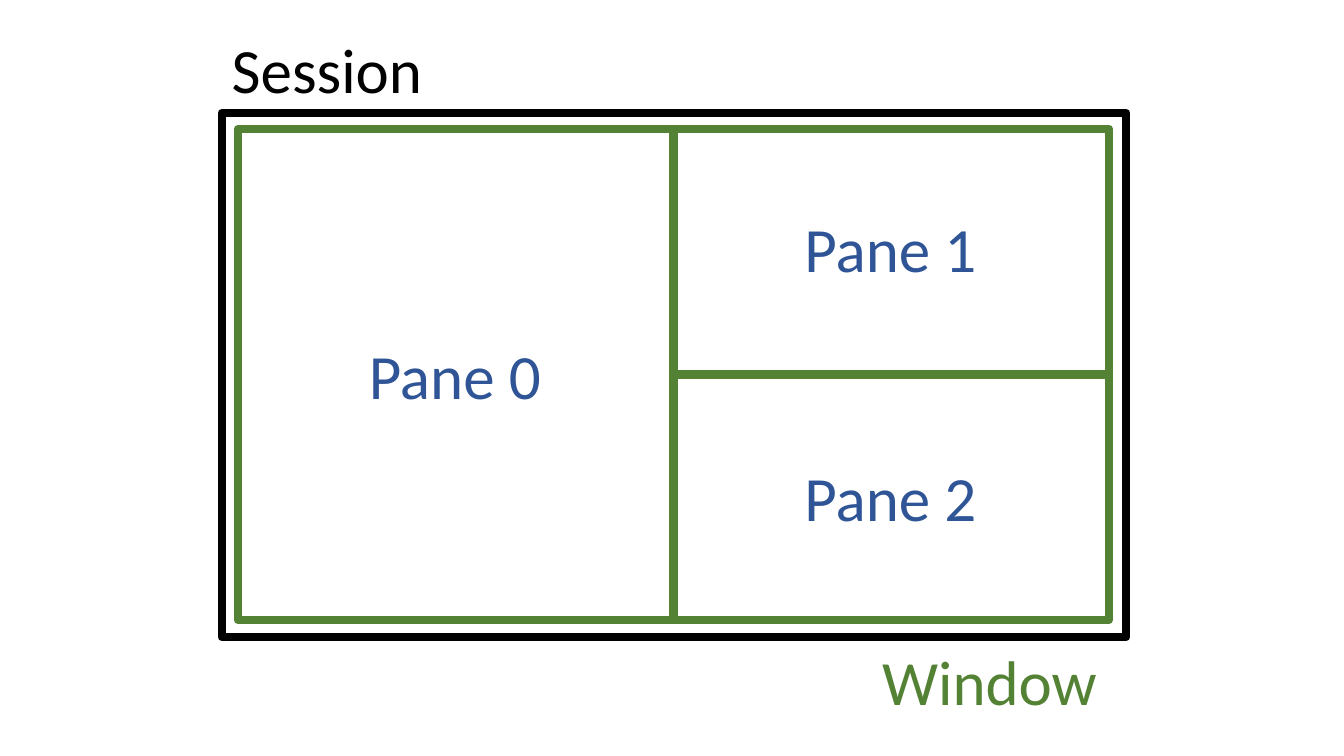
"""Build a slide that shows how a session holds a window split into panes."""
import pptx
import pptx.dml.color
import pptx.enum.shapes
import pptx.enum.text
import pptx.oxml
import pptx.util
from pptx.util import Inches

BLACK = pptx.dml.color.RGBColor(0x00, 0x00, 0x00)
GREEN = pptx.dml.color.RGBColor(0x54, 0x82, 0x35)
BLUE = pptx.dml.color.RGBColor(0x2F, 0x55, 0x97)
FONT_NAME = "Calibri"
FONT_SIZE = pptx.util.Pt(45)
LINE_WIDTH = pptx.util.Pt(6)
LABEL_HEIGHT = 0.86
TOP, BOTTOM, RIGHT = 0, 2, 3


def add_frame(slide, left, top, width, height, color):
    """Add an unfilled rectangle with a thick outline."""
    frame = slide.shapes.add_shape(
        pptx.enum.shapes.MSO_SHAPE.RECTANGLE,
        Inches(left), Inches(top), Inches(width), Inches(height),
    )
    frame.shadow.inherit = False
    frame.fill.background()
    frame.line.color.rgb = color
    frame.line.width = LINE_WIDTH
    return frame


def add_divider(slide, window):
    """Add a thick line that starts at the centre of the window."""
    center_x = window.left + window.width // 2
    center_y = window.top + window.height // 2
    divider = slide.shapes.add_connector(
        pptx.enum.shapes.MSO_CONNECTOR.STRAIGHT,
        center_x, center_y, window.left + window.width, center_y,
    )
    divider.line.color.rgb = GREEN
    divider.line.width = LINE_WIDTH
    properties = divider._element.spPr
    properties.append(pptx.oxml.parse_xml(
        '<a:effectLst xmlns:a="http://schemas.openxmlformats.org/drawingml/2006/main"/>'
    ))
    return divider


def add_label(slide, text, left, top, width, color):
    """Add a one-line text box that fits its text."""
    label = slide.shapes.add_textbox(
        Inches(left), Inches(top), Inches(width), Inches(LABEL_HEIGHT)
    )
    text_frame = label.text_frame
    text_frame.word_wrap = False
    text_frame.auto_size = pptx.enum.text.MSO_AUTO_SIZE.SHAPE_TO_FIT_TEXT
    text_frame.text = text
    font = text_frame.paragraphs[0].runs[0].font
    font.name = FONT_NAME
    font.size = FONT_SIZE
    font.color.rgb = color


def main():
    """Create the slide and save it."""
    presentation = pptx.Presentation()
    presentation.slide_width = Inches(13.33)
    presentation.slide_height = Inches(7.5)
    slide = presentation.slides.add_slide(presentation.slide_layouts[6])

    window = add_frame(slide, 2.36, 1.28, 8.64, 4.87, GREEN)
    row_divider = add_divider(slide, window)
    row_divider.end_connect(window, RIGHT)
    column_divider = add_divider(slide, window)
    column_divider.begin_connect(window, BOTTOM)
    column_divider.end_connect(window, TOP)

    pane_positions = [(3.56, 3.29), (7.88, 2.03), (7.88, 4.5)]
    for number, (left, top) in enumerate(pane_positions):
        add_label(slide, f"Pane {number}", left, top, 1.92, BLUE)

    add_frame(slide, 2.2, 1.12, 8.97, 5.2, BLACK)
    add_label(slide, "Session", 2.2, 0.25, 2.11, BLACK)
    add_label(slide, "Window", 8.65, 6.33, 2.35, GREEN)
    presentation.save("out.pptx")


if __name__ == "__main__":
    main()
